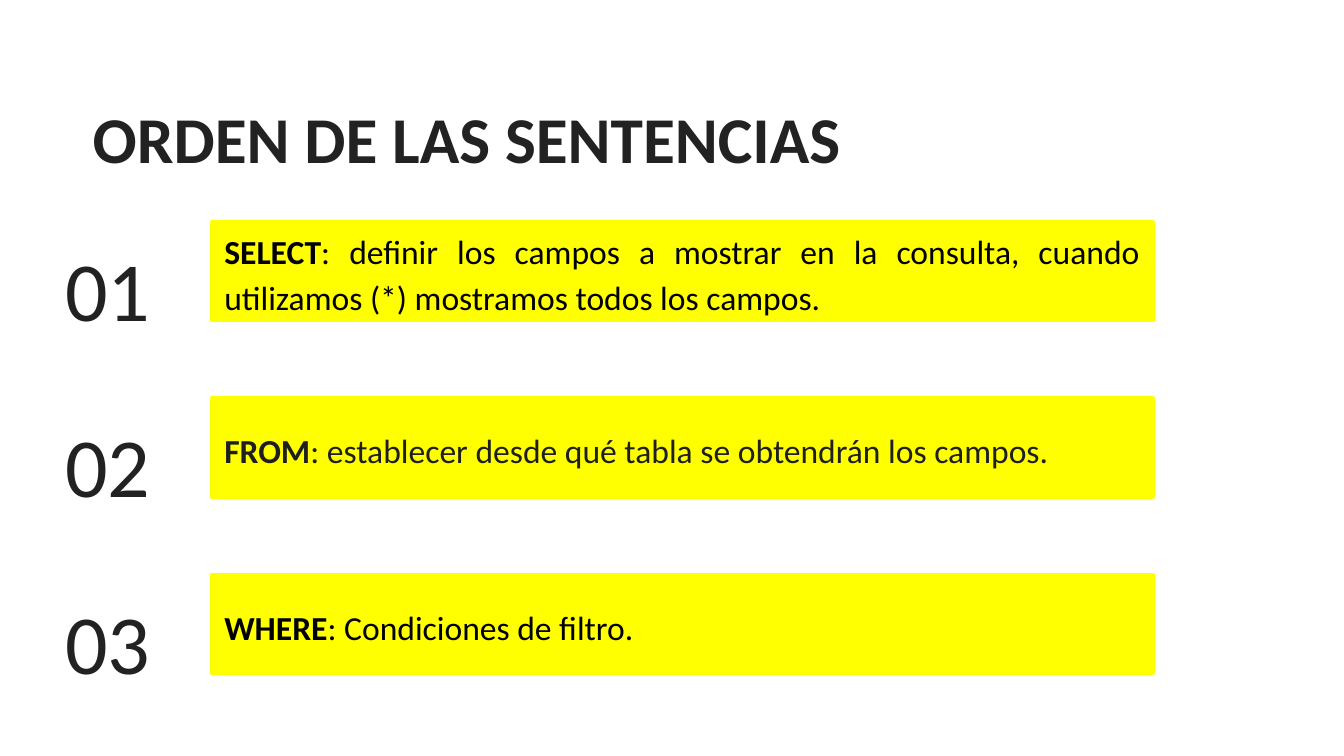
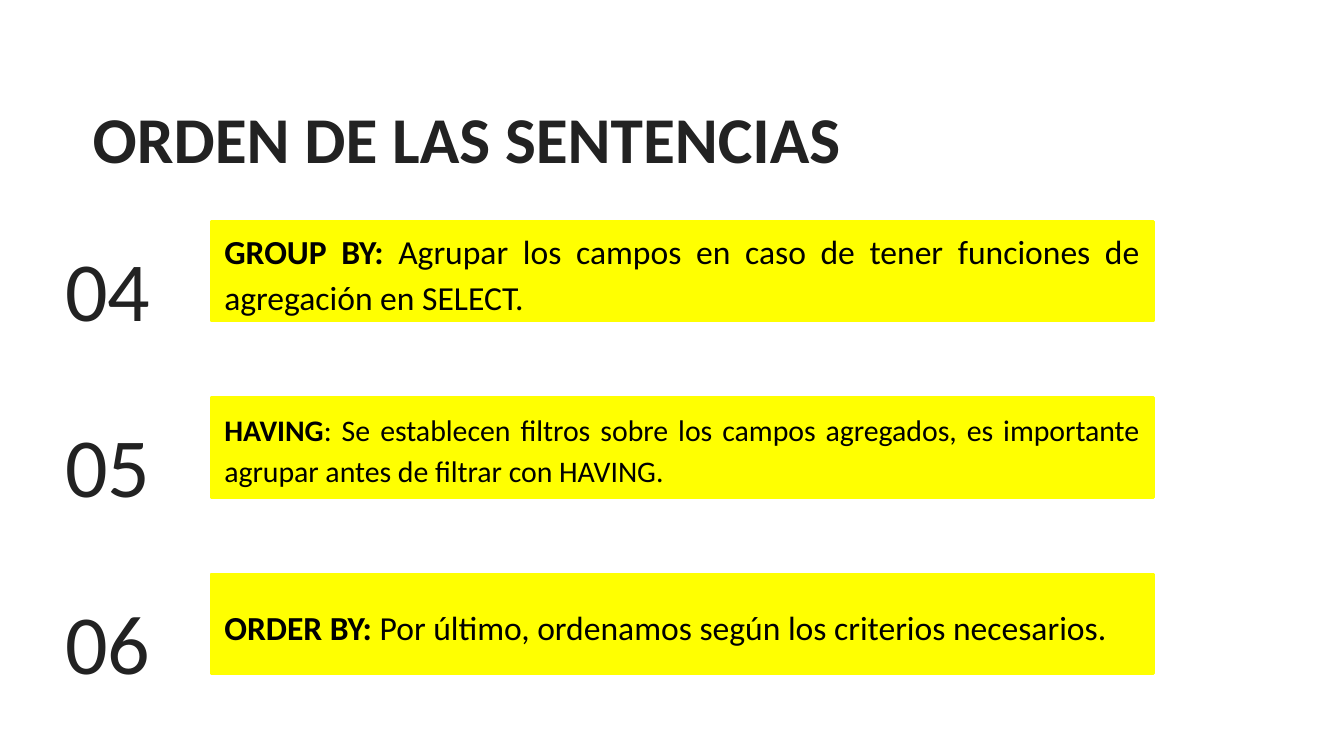
from pptx import Presentation
from pptx.dml.color import RGBColor
from pptx.enum.shapes import MSO_SHAPE
from pptx.enum.text import MSO_ANCHOR, PP_ALIGN
from pptx.util import Cm, Pt

FONT = "Calibri"
INK = "222222"
BLACK = "000000"
YELLOW = "FFFF01"
INSET = 0.25
TITLE = "ORDEN DE LAS SENTENCIAS"
TITLE_BOX = (1.5, 1.42, 19.35, 2.36)
FIRST_ROW_BOX = (0.56, 4.19, 21.24, 1.88)
ROW_PITCH = 3.33
NUMBER_WIDTH = 2.95
BAR_OFFSET = 3.43

SLIDES = [
    [
        ("SELECT", ": definir los campos a mostrar en la consulta, "
                   "cuando utilizamos (*) mostramos todos los campos.", {}),
        ("FROM", ": establecer desde qué tabla se obtendrán los campos.",
         {"color": "1F1F1F"}),
        ("WHERE", ": Condiciones de filtro.", {}),
    ],
    [
        ("GROUP BY:", " Agrupar los campos en caso de tener funciones "
                      "de agregación en SELECT.", {}),
        ("HAVING", ": Se establecen filtros sobre los campos agregados, "
                   "es importante agrupar antes de filtrar con HAVING.",
         {"size": 16}),
        ("ORDER BY:", " Por último, ordenamos según los criterios necesarios.", {}),
    ],
]


def rgb(value):
    """Turn a hex string into a colour."""
    return RGBColor.from_string(value)


def write_text(shape, *runs, size=18, color=INK, align=PP_ALIGN.LEFT,
               line_spacing=1.0, space_after=0, top=INSET):
    """Fill a shape with one paragraph made of (text, bold) runs."""
    frame = shape.text_frame
    frame.word_wrap = True
    frame.vertical_anchor = MSO_ANCHOR.MIDDLE
    frame.margin_left = frame.margin_right = frame.margin_bottom = Cm(INSET)
    frame.margin_top = Cm(top)
    paragraph = frame.paragraphs[0]
    paragraph.alignment = align
    paragraph.line_spacing = line_spacing
    paragraph.space_before = Pt(0)
    paragraph.space_after = Pt(space_after)
    for text, bold in runs:
        run = paragraph.add_run()
        run.text = text
        run.font.name = FONT
        run.font.size = Pt(size)
        run.font.bold = bold
        run.font.color.rgb = rgb(color)


def add_title(slide, box):
    """Move the title placeholder to the box and write the title."""
    title = slide.shapes.title
    title.left, title.top, title.width, title.height = map(Cm, box)
    write_text(title, (TITLE, True), size=35)


def add_row(slide, box, number, keyword, description, size=18, color=BLACK):
    """Place a yellow statement bar and its number inside the box."""
    left, top, width, height = box
    bar = slide.shapes.add_shape(
        MSO_SHAPE.RECTANGLE, Cm(left + BAR_OFFSET), Cm(top),
        Cm(width - BAR_OFFSET), Cm(height))
    bar.shadow.inherit = False
    bar.fill.solid()
    bar.fill.fore_color.rgb = rgb(YELLOW)
    bar.line.color.rgb = rgb(YELLOW)
    bar.line.width = Pt(1.5)
    write_text(bar, (keyword, True), (description, False), size=size, color=color,
               align=PP_ALIGN.JUSTIFY, line_spacing=1.15, space_after=12)
    label = slide.shapes.add_textbox(Cm(left), Cm(top), Cm(NUMBER_WIDTH), Cm(height))
    write_text(label, (f"{number:02d}", False), size=45,
               align=PP_ALIGN.CENTER, line_spacing=1.15, top=0.6)


def add_statements_slide(presentation, statements, first_number):
    """Add a slide with the title and evenly spaced numbered statements."""
    slide = presentation.slides.add_slide(presentation.slide_layouts[5])
    add_title(slide, TITLE_BOX)
    left, top, width, height = FIRST_ROW_BOX
    for index, (keyword, description, style) in enumerate(statements):
        box = (left, top + index * ROW_PITCH, width, height)
        add_row(slide, box, first_number + index, keyword, description, **style)


def main():
    """Build and save the presentation."""
    presentation = Presentation()
    presentation.slide_width = Cm(25.4)
    presentation.slide_height = Cm(14.29)
    first_number = 1
    for statements in SLIDES:
        add_statements_slide(presentation, statements, first_number)
        first_number += len(statements)
    presentation.save("out.pptx")


if __name__ == "__main__":
    main()
